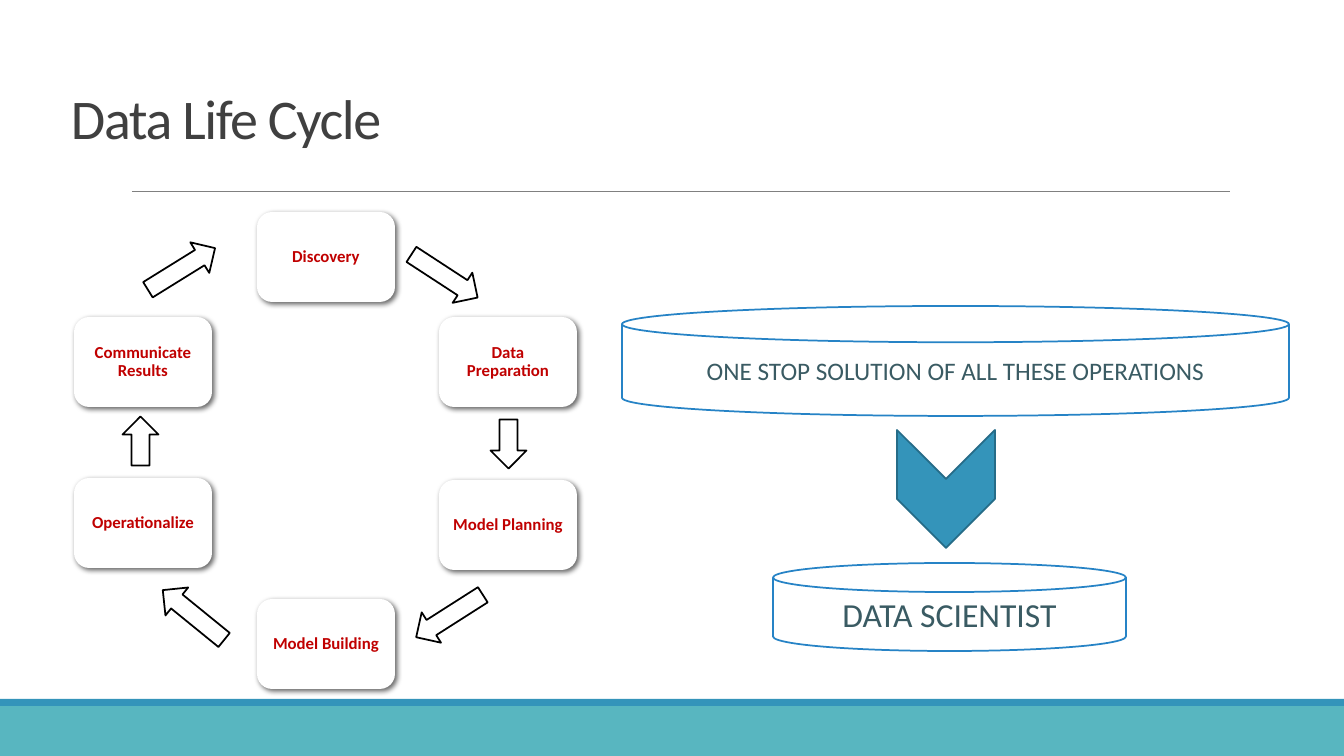
"""Build the Data Life Cycle slide: a six-step loop beside its one-stop solution."""
from pptx import Presentation
from pptx.dml.color import RGBColor
from pptx.enum.shapes import MSO_CONNECTOR, MSO_SHAPE
from pptx.enum.text import MSO_ANCHOR, MSO_AUTO_SIZE, PP_ALIGN
from pptx.oxml import parse_xml
from pptx.util import Emu, Pt

PX = 914400 / 100.8
DRAWING = "http://schemas.openxmlformats.org/drawingml/2006/main"
THEME = {
    "font": "Calibri",
    "white": "FFFFFF", "black": "000000", "heading": "404040", "rule": "808080",
    "step": "C00000", "solution": "3A5B63", "can": "2683C6",
    "teal": "58B6C0", "blue": "3494BA", "blue_edge": "266C88",
    "title_size": 40, "step_size": 12, "solution_size": 18, "role_size": 24,
    "outline": 1.25, "hairline": 0.5,
}


def add_box(kind, frame, fill, line=None, angle=0):
    """Add a shadowless preset shape; frame is left, top, width, height in px."""
    box = page.shapes.add_shape(kind, *[Emu(round(value * PX)) for value in frame])
    box.shadow.inherit = False
    box.rotation = angle
    box.fill.solid()
    box.fill.fore_color.rgb = RGBColor.from_string(THEME[fill])
    if line:
        box.line.color.rgb = RGBColor.from_string(THEME[line])
        box.line.width = Pt(THEME["outline"])
    else:
        box.line.fill.background()
    return box


def write(box, text, size, color, inset, anchor=MSO_ANCHOR.MIDDLE, bold=False, **layout):
    """Set one formatted paragraph; layout holds paragraph attributes."""
    frame = box.text_frame
    margin = Emu(round(inset * PX))
    settings = {
        "word_wrap": True, "auto_size": MSO_AUTO_SIZE.NONE, "vertical_anchor": anchor,
        "margin_left": margin, "margin_right": margin,
        "margin_top": margin, "margin_bottom": margin,
    }
    for name, value in settings.items():
        setattr(frame, name, value)
    para = frame.paragraphs[0]
    for name, value in layout.items():
        setattr(para, name, value)
    span = para.add_run()
    span.text = text
    font = {"name": THEME["font"], "size": Pt(THEME[size]), "bold": bold}
    for name, value in font.items():
        setattr(span.font, name, value)
    span.font.color.rgb = RGBColor.from_string(THEME[color])
    return span


deck = Presentation()
deck.slide_width = Emu(round(1344 * PX))
deck.slide_height = Emu(round(756 * PX))
page = deck.slides.add_slide(deck.slide_layouts.get_by_name("Title Only"))

add_box(MSO_SHAPE.RECTANGLE, (0, 706, 1344, 50), "teal")
add_box(MSO_SHAPE.RECTANGLE, (0, 699, 1344, 7), "blue")

rule = page.shapes.add_connector(
    MSO_CONNECTOR.STRAIGHT, *[Emu(round(value * PX)) for value in (132, 191, 1230, 191)])
rule.line.color.rgb = RGBColor.from_string(THEME["rule"])
rule.line.width = Pt(THEME["hairline"])
rule._element.spPr.append(parse_xml(f'<a:effectLst xmlns:a="{DRAWING}"/>'))

title = page.shapes.title
title_frame = {"left": 66, "top": 37, "width": 1059, "height": 119}
for name, value in title_frame.items():
    setattr(title, name, Emu(round(value * PX)))
heading = write(title, "Data Life Cycle", "title_size", "heading", 5,
                anchor=MSO_ANCHOR.BOTTOM, alignment=PP_ALIGN.LEFT, line_spacing=0.85)
heading._r.get_or_add_rPr().set("spc", "-100")

STEPS = [
    ("Discovery", 257, 212),
    ("Data Preparation", 439, 317),
    ("Model Planning", 439, 480),
    ("Model Building", 257, 599),
    ("Operationalize", 74, 478),
    ("Communicate Results", 74, 317),
]
for label, left, top in STEPS:
    step = add_box(MSO_SHAPE.ROUNDED_RECTANGLE, (left, top, 138, 90), "white")
    step._element.spPr.find(f"{{{DRAWING}}}effectLst").append(parse_xml(
        f'<a:outerShdw xmlns:a="{DRAWING}" blurRad="50800" dist="25400" dir="2700000" '
        f'rotWithShape="0"><a:srgbClr val="{THEME["black"]}"><a:alpha val="60000"/>'
        '</a:srgbClr></a:outerShdw>'))
    write(step, label, "step_size", "step", 9, bold=True,
          alignment=PP_ALIGN.CENTER, line_spacing=0.9, space_before=Pt(5))

ARROWS = [
    (405, 258, 79, 33.1),
    (484, 426, 49, 90),
    (410, 598, 79, 147.5),
    (154, 597, 79, 219.1),
    (116, 423, 49, 270),
    (142, 251, 79, 328.2),
]
for left, top, length, angle in ARROWS:
    add_box(MSO_SHAPE.RIGHT_ARROW, (left, top, length, 36), "white", "black", angle)

CANS = [
    ("ONE STOP SOLUTION OF ALL THESE OPERATIONS", "solution_size", (622, 306, 667, 110)),
    ("DATA SCIENTIST", "role_size", (773, 563, 353, 88)),
]
for label, size, frame in CANS:
    can = add_box(MSO_SHAPE.CAN, frame, "white", "can")
    can.adjustments[0] = 0.33
    write(can, label, size, "solution", 5, alignment=PP_ALIGN.CENTER)

add_box(MSO_SHAPE.CHEVRON, (887, 440, 118, 98), "blue", "blue_edge", 90)

deck.save("out.pptx")
